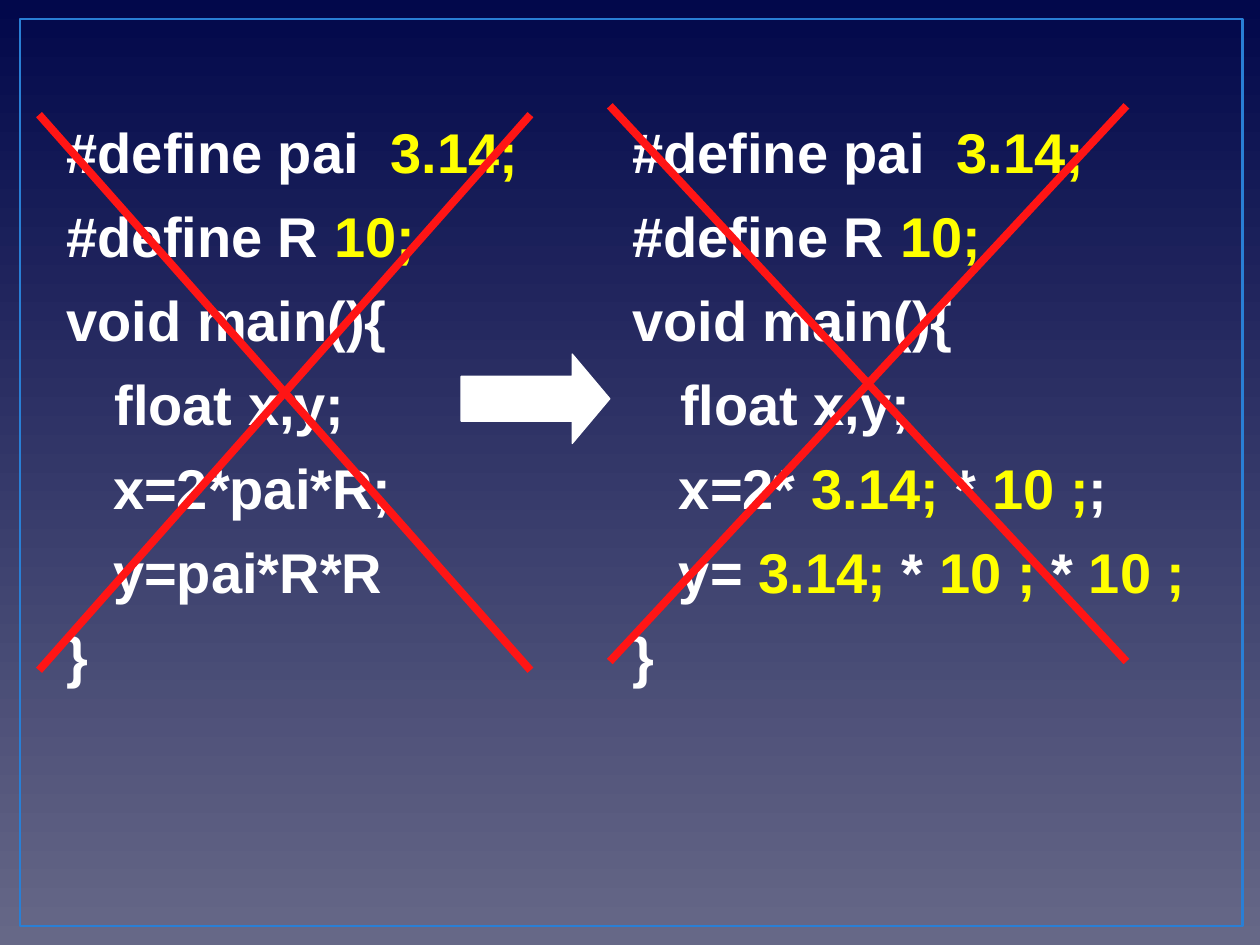
from pptx import Presentation
from pptx.dml.color import RGBColor
from pptx.enum import shapes as kinds
from pptx.oxml import ns, xmlchemy as xml
from pptx.util import Inches, Pt

HUES = {"dusk": "666887", "night": "02084B", "frame": "297FD5",
        "code": "FFFFFF", "macro": "FFFF00", "cross": "FF1515"}

# Text between bars is macro text
HEAD = ["#define pai  |3.14;|", "#define R |10;|", "void main(){", "\tfloat x,y;"]
BEFORE = HEAD + ["   x=2*pai*R;", "   y=pai*R*R", "}"]
AFTER = HEAD + ["   x=2* |3.14;| *| 10 ;|;",
                "   y= |3.14;| *| 10 ;| *| 10 ;|", "}"]


def hue(name):
    return RGBColor.from_string(HUES[name])


def paint(slide):
    fill = slide.background.fill
    fill.gradient()
    fill.gradient_angle = 90
    for stop, name in zip(fill.gradient_stops, ("dusk", "night")):
        stop.color.rgb = hue(name)
    for stop, place in zip(fill.gradient_stops, (0, 1)):
        stop.position = place


def add_frame(slide, box):
    frame = slide.shapes.add_shape(kinds.MSO_SHAPE.RECTANGLE, *map(Inches, box))
    frame.shadow.inherit = False
    frame.fill.background()
    frame.line.color.rgb = hue("frame")
    frame.line.width = Pt(1.5)


def add_code(slide, box, lines):
    body = slide.shapes.add_textbox(*map(Inches, box)).text_frame
    body.word_wrap = True
    body.margin_top = Inches(0.09)
    for i, line in enumerate(lines):
        para = body.add_paragraph() if i else body.paragraphs[0]
        props = para._p.get_or_add_pPr()
        props.set("marL", str(Inches(0.38)))
        props.set("indent", str(-Inches(0.38)))
        para.space_before = Pt(9.6 if i else 0)
        para.font.name = "Arial"
        para.font.size = Pt(32)
        para.font.bold = True
        for j, part in enumerate(line.split("|")):
            if part:
                run = para.add_run()
                run.text = part
                run.font.color.rgb = hue("macro" if j % 2 else "code")


def add_cross(slide, box):
    left, top, wide, high = box
    group = slide.shapes.add_group_shape()
    for start, end in ((left, left + wide), (left + wide, left)):
        line = group.shapes.add_connector(
            kinds.MSO_CONNECTOR.STRAIGHT,
            *map(Inches, (start, top, end, top + high)))
        line.line.color.rgb = hue("cross")
        line.line.width = Pt(4.5)
        line._element.spPr.append(xml.OxmlElement("a:effectLst"))


def add_arrow(slide, box):
    arrow = slide.shapes.add_shape(kinds.MSO_SHAPE.RIGHT_ARROW, *map(Inches, box))
    arrow.adjustments[0] = 0.5
    arrow.adjustments[1] = 0.42
    arrow.shadow.inherit = False
    arrow.fill.solid()
    arrow.fill.fore_color.rgb = hue("code")
    arrow.line.color.rgb = hue("code")
    arrow.line.width = Pt(0.75)


def main():
    deck = Presentation()
    deck.slide_width, deck.slide_height = Inches(10), Inches(7.5)
    slide = deck.slides.add_slide(deck.slide_layouts[6])

    # Backdrop
    paint(slide)
    add_frame(slide, (0.16, 0.15, 9.7, 7.2))

    # Code before and after macro expansion
    add_code(slide, (0.43, 0.84, 4.1, 4.73), BEFORE)
    add_code(slide, (4.92, 0.84, 4.72, 4.73), AFTER)

    # Both versions crossed out, with the step between them
    add_cross(slide, (4.84, 0.84, 4.1, 4.41))
    add_cross(slide, (0.31, 0.91, 3.9, 4.41))
    add_arrow(slide, (3.66, 2.81, 1.18, 0.71))

    deck.save("out.pptx")


if __name__ == "__main__":
    main()
